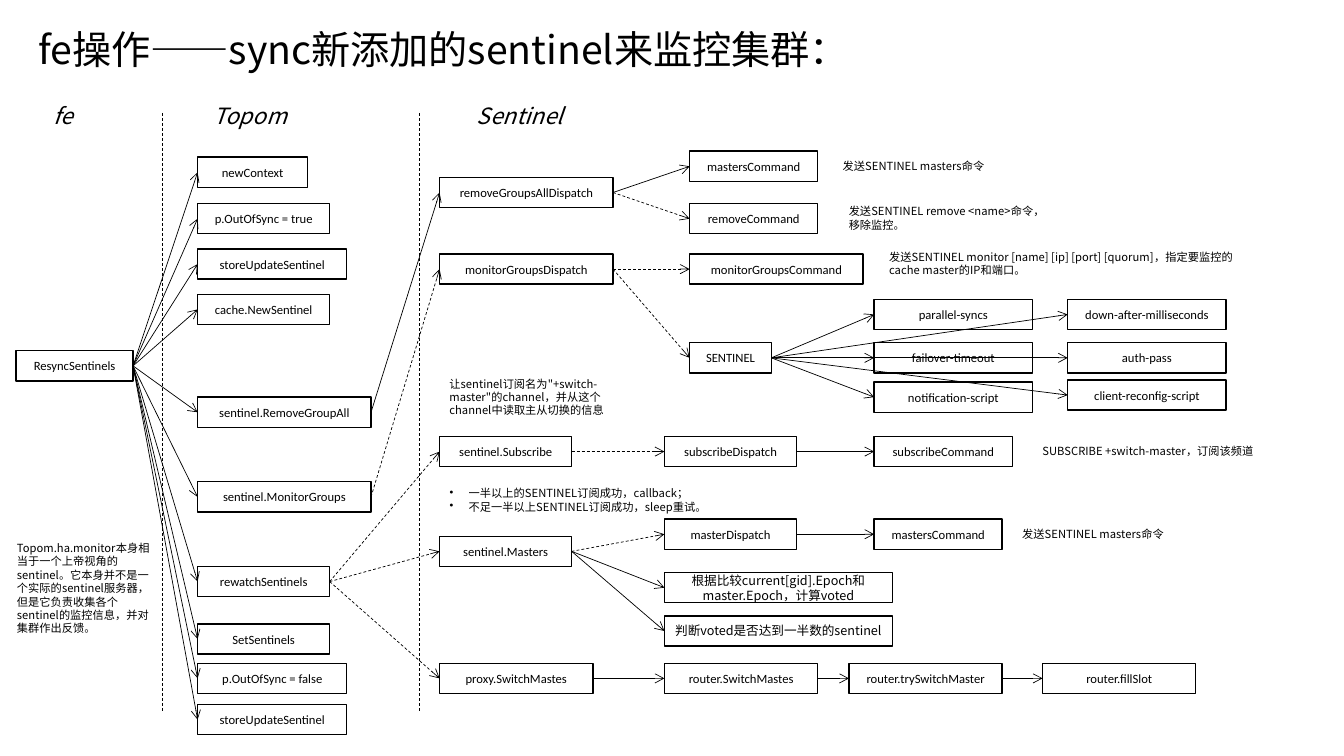
from lxml.etree import SubElement
from pptx import Presentation
from pptx.dml.color import RGBColor
from pptx.enum.dml import MSO_LINE
from pptx.enum.shapes import MSO_CONNECTOR, MSO_SHAPE
from pptx.enum.text import MSO_ANCHOR, MSO_AUTO_SIZE, PP_ALIGN
from pptx.oxml.ns import qn
from pptx.util import Emu, Pt

COLORS = {"ink": "000000", "paper": "FFFFFF"}
LATIN, CJK = "Calibri", "Noto Sans CJK JP"
BOX_HEIGHT = 30
LEFT_SITE, RIGHT_SITE = 1, 3


def px(count):
    """Turn px (100 to the inch) into EMU."""
    return Emu(count * 9144)


def color(name):
    return RGBColor.from_string(COLORS[name])


class FlowPage:
    """The slide being drawn and the style of its elements."""

    def __init__(self, deck):
        self.shapes = deck.slides.add_slide(deck.slide_layouts[6]).shapes

    def style(self, para, size, face, italic=False):
        font = para.font
        font.size, font.italic = Pt(size), italic
        font.color.rgb = color("ink")
        font.name = face
        SubElement(para._p.pPr.find(qn("a:defRPr")), qn("a:ea"), typeface=face)

    def note(self, left, top, width, height, *lines, size=8, italic=False, bullets=False):
        box = self.shapes.add_textbox(px(left), px(top), px(width), px(height))
        frame = box.text_frame
        frame.word_wrap = True
        frame.auto_size = MSO_AUTO_SIZE.SHAPE_TO_FIT_TEXT
        frame.text = "\n".join(lines)
        for para in frame.paragraphs:
            self.style(para, size, CJK, italic)
            if bullets:
                props = para._p.pPr
                props.set("marL", str(px(19)))
                props.set("indent", str(px(-19)))
                bullet = SubElement(props, qn("a:buChar"), char="•")
                props.insert(0, bullet)

    def box(self, left, top, width, label, face=LATIN):
        box = self.shapes.add_shape(
            MSO_SHAPE.RECTANGLE, px(left), px(top), px(width), px(BOX_HEIGHT))
        box.shadow.inherit = False
        box.fill.solid()
        box.fill.fore_color.rgb = color("paper")
        box.line.color.rgb = color("ink")
        box.line.width = Pt(1)
        frame = box.text_frame
        frame.word_wrap = True
        frame.vertical_anchor = MSO_ANCHOR.MIDDLE
        frame.text = label
        para = frame.paragraphs[0]
        para.alignment = PP_ALIGN.CENTER
        self.style(para, 9, face)
        return box

    def column(self, left, *entries, face=LATIN):
        """Draw boxes sharing a left edge from (top, width, label) entries."""
        return [self.box(left, *entry, face=face) for entry in entries]

    def line(self, start, end, dashed):
        line = self.shapes.add_connector(
            MSO_CONNECTOR.STRAIGHT, *(px(value) for value in start + end))
        SubElement(line._element.spPr, qn("a:effectLst"))
        line.line.color.rgb = color("ink")
        line.line.width = Pt(0.5)
        if dashed:
            line.line.dash_style = MSO_LINE.DASH
        return line

    def link(self, source, *targets, dashed=False):
        """Draw arrows from the right side of source to the left side of each target."""
        for target in targets:
            arrow = self.line((0, 0), (0, 0), dashed)
            arrow.begin_connect(source, RIGHT_SITE)
            arrow.end_connect(target, LEFT_SITE)
            SubElement(arrow.line._get_or_add_ln(), qn("a:tailEnd"), type="arrow")


def draw_headings(page):
    page.note(28, 20, 1138, 57, "fe操作——sync新添加的sentinel来监控集群：", size=28)
    for left, width, label in ((43, 98, "fe"), (202, 98, "Topom"), (463, 132, "Sentinel")):
        page.note(left, 96, width, 37, label, size=16, italic=True)
    for x in (161, 416):
        page.line((x, 112), (x, 706), dashed=True)


def draw_flow(page):
    resync = page.box(16, 348, 116, "ResyncSentinels")
    steps = page.column(
        196,
        (156, 109, "newContext"),
        (202, 131, "p.OutOfSync = true"),
        (247, 148, "storeUpdateSentinel"),
        (292, 131, "cache.NewSentinel"),
        (394, 172, "sentinel.RemoveGroupAll"),
        (478, 172, "sentinel.MonitorGroups"),
        (562, 131, "rewatchSentinels"),
        (619, 131, "SetSentinels"),
        (658, 148, "p.OutOfSync = false"),
        (699, 148, "storeUpdateSentinel"))
    remove_groups, monitor_groups, rewatch = steps[4:7]
    remove_dispatch, monitor_dispatch, subscribe, masters, proxy_switch = page.column(
        436,
        (176, 172, "removeGroupsAllDispatch"),
        (252, 172, "monitorGroupsDispatch"),
        (433, 131, "sentinel.Subscribe"),
        (532, 131, "sentinel.Masters"),
        (658, 152, "proxy.SwitchMastes"))
    masters_command, remove_command, monitor_command, sentinel = page.column(
        684,
        (150, 127, "mastersCommand"),
        (202, 127, "removeCommand"),
        (252, 172, "monitorGroupsCommand"),
        (340, 81, "SENTINEL"))
    subscribe_dispatch, master_dispatch, router_switch = page.column(
        659,
        (433, 131, "subscribeDispatch"),
        (515, 131, "masterDispatch"),
        (658, 152, "router.SwitchMastes"))
    votes = page.column(
        659,
        (568, 226, "根据比较current[gid].Epoch和master.Epoch，计算voted"),
        (611, 226, "判断voted是否达到一半数的sentinel"), face=CJK)
    *near_options, subscribe_command, master_reply = page.column(
        867,
        (297, 157, "parallel-syncs"),
        (340, 157, "failover-timeout"),
        (379, 157, "notification-script"),
        (433, 137, "subscribeCommand"),
        (515, 127, "mastersCommand"))
    far_options = page.column(
        1059,
        (297, 157, "down-after-milliseconds"),
        (340, 157, "auth-pass"),
        (377, 157, "client-reconfig-script"))
    try_switch = page.box(842, 658, 152, "router.trySwitchMaster")
    fill_slot = page.box(1034, 658, 152, "router.fillSlot")

    page.link(resync, *steps)
    page.link(remove_groups, remove_dispatch)
    page.link(remove_dispatch, masters_command)
    page.link(remove_dispatch, remove_command, dashed=True)
    page.link(monitor_groups, monitor_dispatch, dashed=True)
    page.link(monitor_dispatch, monitor_command, sentinel, dashed=True)
    page.link(sentinel, *near_options, *far_options)
    page.link(rewatch, subscribe, masters, proxy_switch, dashed=True)
    page.link(subscribe, subscribe_dispatch, dashed=True)
    page.link(subscribe_dispatch, subscribe_command)
    page.link(masters, master_dispatch, dashed=True)
    page.link(masters, *votes)
    page.link(master_dispatch, master_reply)
    page.link(proxy_switch, router_switch)
    page.link(router_switch, try_switch)
    page.link(try_switch, fill_slot)


def draw_notes(page):
    for left, top in ((826, 153), (1004, 518)):
        page.note(left, top, 164, 23, "发送SENTINEL masters命令")
    page.note(832, 198, 217, 37, "发送SENTINEL remove <name>命令，", "移除监控。")
    page.note(872, 243, 372, 37,
              "发送SENTINEL monitor [name] [ip] [port] [quorum]，指定要监控的cache master的IP和端口。")
    page.note(436, 369, 187, 50,
              '让sentinel订阅名为"+switch-master"的channel，并从这个channel中读取主从切换的信息')
    page.note(1024, 436, 239, 23, "SUBSCRIBE +switch-master，订阅该频道")
    page.note(436, 478, 319, 37, "一半以上的SENTINEL订阅成功，callback；",
              "不足一半以上SENTINEL订阅成功，sleep重试。", bullets=True)
    page.note(7, 532, 155, 104,
              "Topom.ha.monitor本身相当于一个上帝视角的sentinel。它本身并不是一个实际的sentinel服务器，"
              "但是它负责收集各个sentinel的监控信息，并对集群作出反馈。")


def main():
    deck = Presentation()
    deck.slide_width, deck.slide_height = px(1333), px(750)
    page = FlowPage(deck)
    draw_headings(page)
    draw_flow(page)
    draw_notes(page)
    deck.save("out.pptx")


if __name__ == "__main__":
    main()
